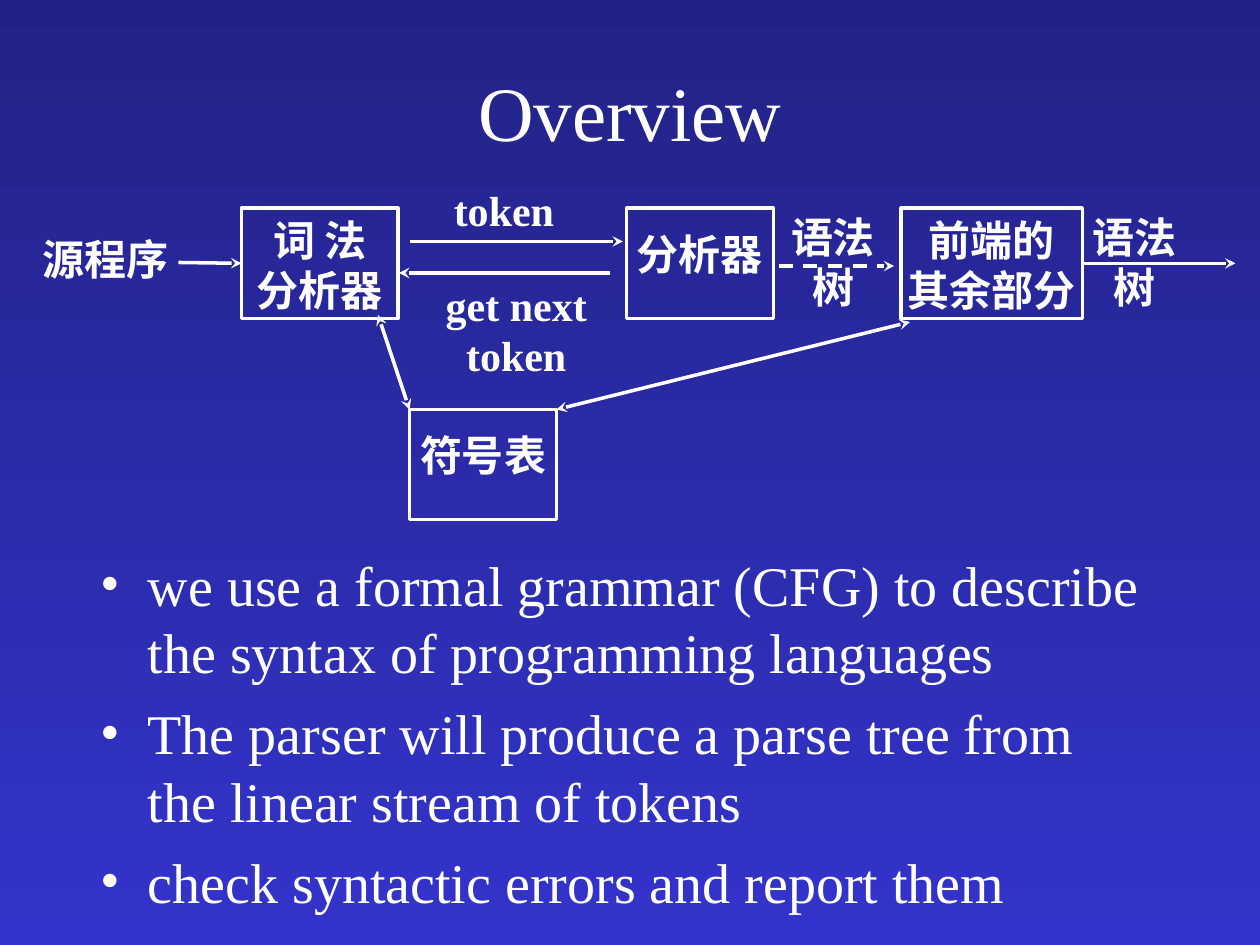
import pptx
import pptx.dml.color
import pptx.enum.dml
import pptx.enum.shapes
import pptx.enum.text
import pptx.oxml
import pptx.oxml.ns
import pptx.util

Pt = pptx.util.Pt
FONT = "Times New Roman"
WHITE = "FFFFFF"
CENTER = pptx.enum.text.PP_ALIGN.CENTER
MIDDLE = pptx.enum.text.MSO_ANCHOR.MIDDLE
TOP = pptx.enum.text.MSO_ANCHOR.TOP
LEFT_SIDE, RIGHT_SIDE = 1, 3


def rgb(hex_color):
    return pptx.dml.color.RGBColor.from_string(hex_color)


def add_element(parent, tag, **attributes):
    element = pptx.oxml.parse_xml(f"<a:{tag} {pptx.oxml.ns.nsdecls('a')}/>")
    for name, value in attributes.items():
        element.set(name, str(value))
    parent.append(element)


def place(part, left, top, width, height):
    part.left, part.top = Pt(left), Pt(top)
    part.width, part.height = Pt(width), Pt(height)


def set_font(paragraph, size, bold=False):
    font = paragraph.font
    font.name, font.size, font.bold = FONT, Pt(size), bold
    font.color.rgb = rgb(WHITE)


def paint_background(slide):
    fill = slide.background.fill
    fill.gradient()
    fill.gradient_angle = 270
    for stop, color, position in zip(fill.gradient_stops, ("222286", "3333CC"), (0, 1)):
        stop.color.rgb = rgb(color)
        stop.position = position


def write_title(slide, text, box):
    title = slide.shapes.title
    place(title, *box)
    title.text_frame.text = text
    title.text_frame.vertical_anchor = MIDDLE
    heading = title.text_frame.paragraphs[0]
    heading.alignment = CENTER
    set_font(heading, 44)


def write_bullets(slide, points, box):
    frame = slide.shapes.add_textbox(*map(Pt, box)).text_frame
    frame.word_wrap = True
    frame.text = "\n".join(points)
    for index, paragraph in enumerate(frame.paragraphs):
        if index:
            paragraph.space_before = Pt(8)
        properties = paragraph._p.get_or_add_pPr()
        properties.set("marL", str(Pt(27)))
        properties.set("indent", str(Pt(-27)))
        add_element(properties, "buFont", typeface=FONT)
        add_element(properties, "buChar", char="•")
        set_font(paragraph, 32)


def draw_diagram(slide, left, top):
    """Draw the compiler front end with its upper left corner at (left, top)."""

    def write(part, text, inset_x, inset_top):
        frame = part.text_frame
        frame.word_wrap = True
        frame.vertical_anchor = TOP
        frame.margin_left = frame.margin_right = Pt(inset_x)
        frame.margin_top, frame.margin_bottom = Pt(inset_top), Pt(3.6)
        frame.text = text
        for paragraph in frame.paragraphs:
            paragraph.alignment = CENTER
            set_font(paragraph, 24, bold=True)

    def stage(text, x, y, width, inset_top):
        part = slide.shapes.add_shape(
            pptx.enum.shapes.MSO_SHAPE.RECTANGLE,
            Pt(left + x), Pt(top + y), Pt(width), Pt(63))
        part.shadow.inherit = False
        part.fill.background()
        part.line.color.rgb = rgb(WHITE)
        part.line.width = Pt(2)
        write(part, text, 1.4, inset_top)
        return part

    def label(text, x, y, width, height, inset_top):
        part = slide.shapes.add_textbox(
            Pt(left + x), Pt(top + y), Pt(width), Pt(height))
        write(part, text, 7.2, inset_top)

    def arrow(x1, y1, x2, y2, both=False, dashed=False):
        connector = slide.shapes.add_connector(
            pptx.enum.shapes.MSO_CONNECTOR.STRAIGHT,
            Pt(left + x1), Pt(top + y1), Pt(left + x2), Pt(top + y2))
        connector.line.color.rgb = rgb(WHITE)
        connector.line.width = Pt(2)
        if dashed:
            connector.line.dash_style = pptx.enum.dml.MSO_LINE.DASH
        line = connector.line._get_or_add_ln()
        if both:
            add_element(line, "headEnd", type="stealth")
        add_element(line, "tailEnd", type="stealth")
        add_element(connector._element.spPr, "effectLst")
        return connector

    # Stages and the symbol table
    lexer = stage("词 法\n分析器", 130, 17, 89.5, 3.6)
    stage("分析器", 350, 17, 84, 11.5)
    rest_of_front_end = stage("前端的\n其余部分", 507, 17, 103.5, 3.6)
    stage("符号表", 226, 132, 84, 11.5)

    # Data flow
    arrow(94, 48, 130, 48.5).end_connect(lexer, LEFT_SIDE)
    arrow(226, 36, 348, 36)
    arrow(340.5, 54, 220, 54)
    arrow(437, 50, 503, 50, dashed=True)
    arrow(610.5, 48.5, 698, 48.5).begin_connect(rest_of_front_end, RIGHT_SIDE)

    # Symbol table access
    arrow(208, 78, 226, 132, both=True)
    arrow(512, 82, 310, 132, both=True)

    # Flow labels
    label("源程序", 0, 30.5, 104.5, 34, 0.7)
    label("token", 220, 0, 120, 39, 3.6)
    label("get next token", 220, 54, 134, 63, 3.6)
    for x in (425.5, 598):
        label("语法树", x, 18, 85, 34, 0.7)


def main():
    presentation = pptx.Presentation()
    presentation.slide_width, presentation.slide_height = Pt(720), Pt(540)
    slide = presentation.slides.add_slide(presentation.slide_layouts[5])
    paint_background(slide)
    write_title(slide, "Overview", (54, 18, 612, 90))
    write_bullets(slide, [
        "we use a formal grammar (CFG) to describe the syntax of programming languages",
        "The parser will produce a parse tree from the linear stream of tokens",
        "check syntactic errors and report them",
    ], (50.4, 311, 612, 222))
    draw_diagram(slide, 8, 102)
    presentation.save("out.pptx")


if __name__ == "__main__":
    main()
